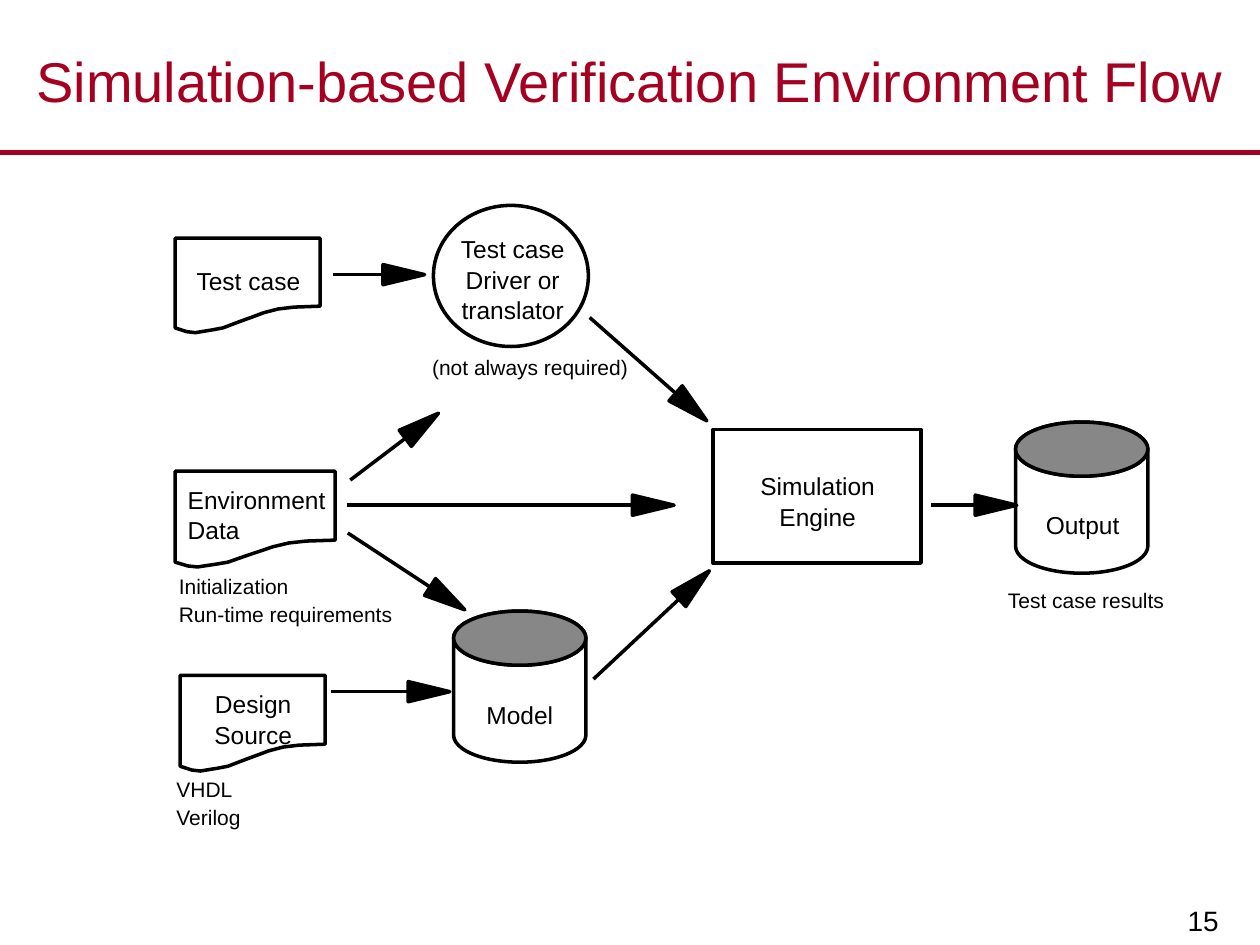
from math import hypot

from lxml import etree
from pptx import Presentation
from pptx.dml.color import RGBColor
from pptx.enum.shapes import MSO_CONNECTOR, MSO_SHAPE
from pptx.enum.text import MSO_ANCHOR, PP_ALIGN
from pptx.oxml.ns import qn
from pptx.util import Inches, Pt

STRAIGHT = MSO_CONNECTOR.STRAIGHT
RECTANGLE, OVAL, CAN = MSO_SHAPE.RECTANGLE, MSO_SHAPE.OVAL, MSO_SHAPE.CAN
MIDDLE, BOTTOM = MSO_ANCHOR.MIDDLE, MSO_ANCHOR.BOTTOM
LEFT, CENTER, RIGHT = PP_ALIGN.LEFT, PP_ALIGN.CENTER, PP_ALIGN.RIGHT

THEME = {
    "font": "Arial",
    "accent": RGBColor(0xA5, 0x00, 0x21),
    "ink": RGBColor(0, 0, 0),
    "paper": RGBColor(255, 255, 255),
    "lid": RGBColor(0x87, 0x87, 0x87),
    "title": 32, "number": 16, "label": 14, "note": 12,
    "line": 2, "rule": 3,
}
LINE_GAP = {"label": 0.5, "note": 1.8}  # points between lines
LINE_HEIGHT = {"label": 0.24, "note": 0.22}
LID_HEIGHT = 0.43
HEAD_LENGTH, HEAD_HALF_WIDTH, HEAD_OVERLAP = 0.33, 0.08, 0.07

TITLE = "Simulation-based Verification Environment Flow"
NUMBER = "15"

# left, top, width, height
DOCUMENTS = [
    (1.39, 1.89, 1.15, 0.75),  # test case
    (1.39, 3.74, 1.27, 0.76),  # environment data
    (1.43, 5.36, 1.15, 0.76),  # design source
]
STORES = [
    (8.06, 3.35, 1.05, 1.2),   # output
    (3.6, 4.85, 1.05, 1.2),    # model
]
DRIVER = (3.44, 1.63, 1.23, 1.12)
ENGINE = (5.66, 3.41, 1.65, 1.06)

# Lower edge of a document, right to left, as fractions of its size
WAVE = [(1, 0.72), (0.82, 0.73), (0.71, 0.75), (0.61, 0.79), (0.54, 0.83),
        (0.45, 0.88), (0.33, 0.95), (0.26, 0.97), (0.14, 1), (0.08, 0.99),
        (0, 0.95)]

# lines, left, top, width, alignment, type size
TEXTS = [
    (["Test case"], 1.56, 2.11, 0.95, LEFT, "label"),
    (["Test case", "Driver or", "translator"], 3.57, 1.86, 1, CENTER, "label"),
    (["(not always required)"], 3.43, 2.81, 1.7, LEFT, "note"),
    (["Environment", "Data"], 1.49, 3.85, 1.2, LEFT, "label"),
    (["Initialization", "Run-time requirements"], 1.42, 4.55, 1.8, LEFT, "note"),
    (["Design", "Source"], 1.61, 5.47, 0.8, CENTER, "label"),
    (["VHDL", "Verilog"], 1.4, 6.16, 0.65, LEFT, "note"),
    (["Model"], 3.86, 5.56, 0.65, LEFT, "label"),
    (["Simulation", "Engine"], 5.94, 3.74, 1.1, CENTER, "label"),
    (["Output"], 8.3, 4.05, 0.7, LEFT, "label"),
    (["Test case results"], 8, 4.66, 1.4, LEFT, "note"),
]

# start, tip
ARROWS = [
    ((2.64, 2.18), (3.37, 2.18)),  # test case to driver
    ((4.68, 2.52), (5.61, 3.34)),  # driver to engine
    ((2.78, 3.81), (3.48, 3.28)),  # environment to driver
    ((2.75, 4.01), (5.35, 4.01)),  # environment to engine
    ((2.76, 4.23), (3.69, 4.84)),  # environment to model
    ((2.63, 5.49), (3.57, 5.49)),  # design to model
    ((4.71, 5.39), (5.63, 4.53)),  # model to engine
    ((7.39, 4.01), (8.07, 4.01)),  # engine to output
]


def inches(values):
    return [Inches(value) for value in values]


def set_font(paragraph, size, color="ink"):
    paragraph.font.name = THEME["font"]
    paragraph.font.size = Pt(THEME[size])
    paragraph.font.color.rgb = THEME[color]


def paint(shape, fill="paper"):
    shape.shadow.inherit = False
    shape.fill.solid()
    shape.fill.fore_color.rgb = THEME[fill]
    shape.line.color.rgb = THEME["ink"]
    shape.line.width = Pt(THEME["line"])
    return shape


def add_preset(slide, preset, box, fill="paper"):
    return paint(slide.shapes.add_shape(preset, *inches(box)), fill)


def add_outline(slide, points, fill="paper"):
    start, *rest = [inches(point) for point in points]
    builder = slide.shapes.build_freeform(*start)
    builder.add_line_segments(rest, close=True)
    paint(builder.convert_to_shape(), fill)


def add_document(slide, box):
    left, top, width, height = box
    corners = [(0, 0), (1, 0)]
    add_outline(slide, [(left + x * width, top + y * height)
                        for x, y in corners + WAVE])


def add_store(slide, box):
    left, top, width, height = box
    body = add_preset(slide, CAN, box)
    body.adjustments[0] = LID_HEIGHT / min(width, height)
    add_preset(slide, OVAL, (left, top, width, LID_HEIGHT), "lid")


def add_line(slide, start, end, color, weight):
    line = slide.shapes.add_connector(STRAIGHT, *inches(start + end))
    line.line.color.rgb = THEME[color]
    line.line.width = Pt(THEME[weight])
    etree.SubElement(line._element.spPr, qn("a:effectLst"))


def add_arrow(slide, start, tip):
    """Draw a shaft and a long solid head, wider than line ends allow."""
    dx, dy = tip[0] - start[0], tip[1] - start[1]
    length = hypot(dx, dy)
    ux, uy = dx / length, dy / length

    def behind_tip(back, aside=0):
        return (tip[0] - back * ux - aside * uy, tip[1] - back * uy + aside * ux)

    add_line(slide, start, behind_tip(HEAD_OVERLAP), "ink", "line")
    add_outline(slide, [behind_tip(HEAD_LENGTH, HEAD_HALF_WIDTH), tip,
                        behind_tip(HEAD_LENGTH, -HEAD_HALF_WIDTH)], "ink")


def add_text(slide, lines, left, top, width, alignment, size):
    height = LINE_HEIGHT[size] * len(lines)
    frame = slide.shapes.add_textbox(*inches((left, top, width, height))).text_frame
    frame.margin_left = frame.margin_right = 0
    frame.margin_top = frame.margin_bottom = 0
    frame.word_wrap = True
    frame.text = "\n".join(lines)
    for index, paragraph in enumerate(frame.paragraphs):
        paragraph.alignment = alignment
        set_font(paragraph, size)
        if index:
            paragraph.space_before = Pt(LINE_GAP[size])


def add_title(slide):
    title = slide.shapes.title
    title.left, title.top, title.width, title.height = inches((0, 0.21, 10, 0.85))
    title.text_frame.text = TITLE
    title.text_frame.vertical_anchor = MIDDLE
    heading = title.text_frame.paragraphs[0]
    heading.alignment = CENTER
    set_font(heading, "title", "accent")
    add_line(slide, (0, 1.21), (10, 1.21), "accent", "rule")


def add_number(slide):
    frame = slide.shapes.add_textbox(*inches((7.78, 6.92, 1.99, 0.57))).text_frame
    frame.word_wrap = True
    frame.vertical_anchor = BOTTOM
    frame.text = NUMBER
    frame.paragraphs[0].alignment = RIGHT
    set_font(frame.paragraphs[0], "number")


def main():
    deck = Presentation()
    deck.slide_width, deck.slide_height = inches((10, 7.5))
    slide = deck.slides.add_slide(deck.slide_layouts[5])
    add_title(slide)
    add_number(slide)
    for box in DOCUMENTS:
        add_document(slide, box)
    for box in STORES:
        add_store(slide, box)
    add_preset(slide, OVAL, DRIVER)
    add_preset(slide, RECTANGLE, ENGINE)
    for text in TEXTS:
        add_text(slide, *text)
    for start, tip in ARROWS:
        add_arrow(slide, start, tip)
    deck.save("out.pptx")


if __name__ == "__main__":
    main()
